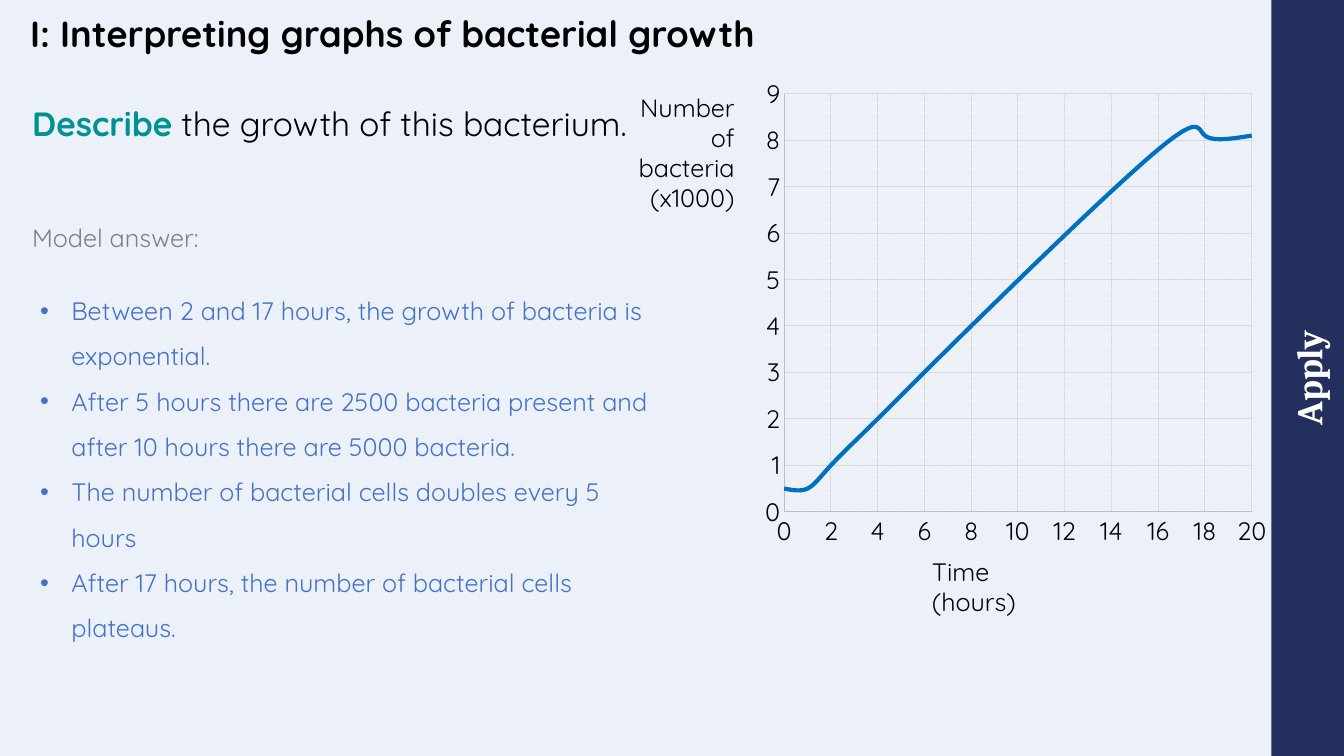
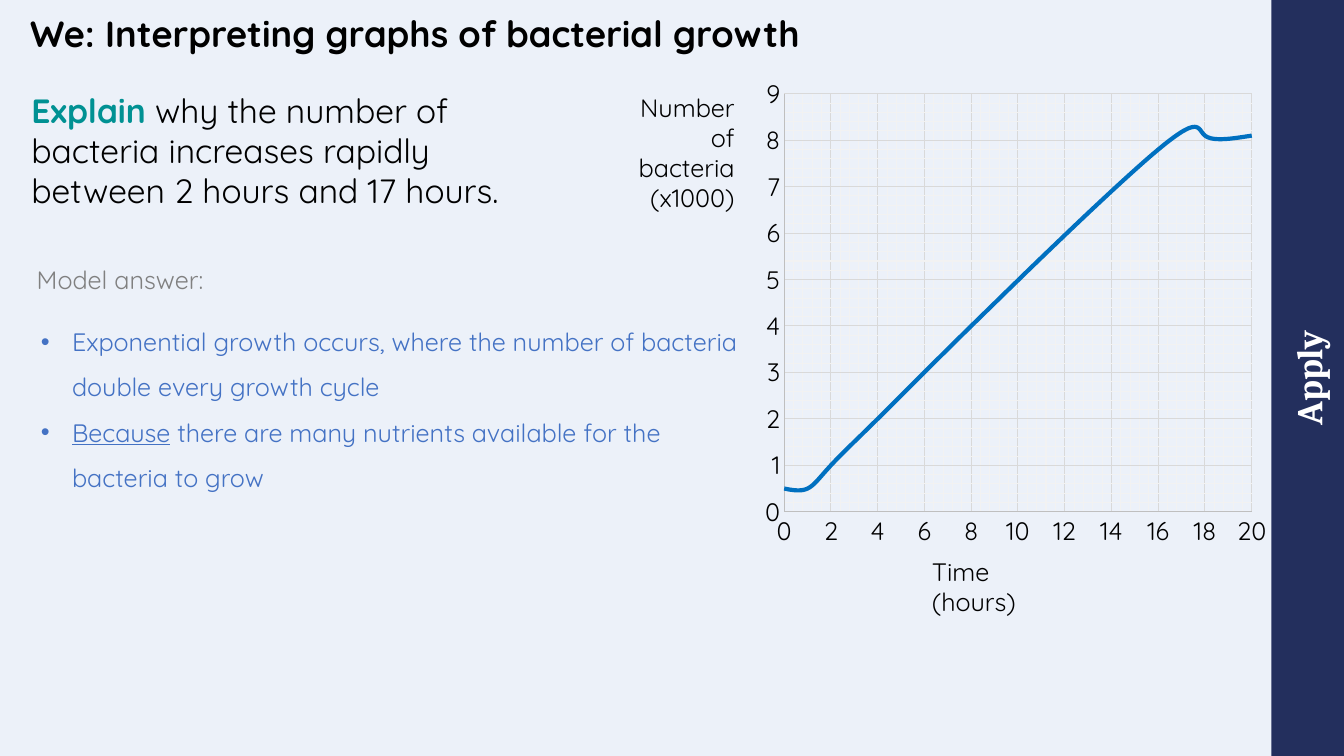
from dataclasses import dataclass

from lxml import etree
from pptx import Presentation, util as u
from pptx.chart import data as chart_data
from pptx.dml.color import RGBColor
from pptx.enum import chart as charts, shapes, text
from pptx.oxml.ns import qn


@dataclass(frozen=True)
class Theme:
    """Colours, fonts and type sizes shared by both slides."""
    paper: str = "ECF1F9"
    band: str = "232F5D"
    white: str = "FFFFFF"
    ink: str = "000000"
    command: str = "009193"
    muted: str = "808080"
    answer: str = "4472C4"
    curve: str = "0070C0"
    axis: str = "BFBFBF"
    major_grid: str = "D9D9D9"
    minor_grid: str = "F2F2F2"
    body_font: str = "Quicksand"
    band_font: str = "Cambria"
    title_size: int = 26
    question_size: int = 24
    body_size: int = 18


THEME = Theme()
WIDTH, HEIGHT = u.Inches(13.333), u.Inches(7.5)
BAND_SHARE = 5.4
HOURS = [0, 1, 2, 4, 8, 16, 18, 20]
THOUSANDS = [0.5, 0.5, 1, 2, 4, 7.8, 8.1, 8.1]


def across(share):
    """Turn a percentage of the slide width into a length."""
    return round(WIDTH * share / 100)


def down(share):
    """Turn a percentage of the slide height into a length."""
    return round(HEIGHT * share / 100)


def place(left, top, width, height):
    """Turn percentages of the slide into a position and size."""
    return across(left), down(top), across(width), down(height)


def style_font(font, size, color=THEME.ink, bold=False, name=THEME.body_font):
    """Set the face, size, weight and colour of a font."""
    font.name, font.size, font.bold = name, u.Pt(size), bold
    font.color.rgb = RGBColor.from_string(color)


def style_line(line, color, width=0.75):
    """Set the colour and width in points of a line."""
    line.color.rgb = RGBColor.from_string(color)
    line.width = u.Pt(width)


def add_frame(page, area):
    """Add a wrapping text box and return its text frame."""
    frame = page.shapes.add_textbox(*place(*area)).text_frame
    frame.word_wrap = True
    return frame


def add_label(page, area, wording, color=THEME.ink, size=THEME.body_size,
              bold=False, align=text.PP_ALIGN.LEFT, spacing=1.0):
    """Add a text box with one paragraph in one style."""
    para = add_frame(page, area).paragraphs[0]
    para.text, para.alignment, para.line_spacing = wording, align, spacing
    style_font(para.font, size, color, bold)


def add_question(page, area, command, rest):
    """Add a question that opens with a highlighted command word."""
    para = add_frame(page, area).paragraphs[0]
    for wording, color, bold in ((command, THEME.command, True), (rest, THEME.ink, False)):
        span = para.add_run()
        span.text = wording
        style_font(span.font, THEME.question_size, color, bold)


def add_bullets(page, area, points):
    """Add bulleted points, each an underlined lead and the rest."""
    frame = add_frame(page, area)
    for index, (lead, rest) in enumerate(points):
        para = frame.add_paragraph() if index else frame.paragraphs[0]
        para.line_spacing = 1.5
        props = para._p.get_or_add_pPr()
        props.set("marL", str(u.Inches(0.31)))
        props.set("indent", str(-u.Inches(0.31)))
        etree.SubElement(props, qn("a:buFont")).set("typeface", "Arial")
        etree.SubElement(props, qn("a:buChar")).set("char", "•")
        style_font(para.font, THEME.body_size, THEME.answer)
        if lead:
            span = para.add_run()
            span.text, span.font.underline = lead, True
        para.add_run().text = rest


def add_band(page, wording):
    """Add the side band with its sideways label."""
    thickness = across(BAND_SHARE)
    left = WIDTH - (thickness + HEIGHT) // 2
    top = (HEIGHT - thickness) // 2
    band = page.shapes.add_shape(shapes.MSO_SHAPE.RECTANGLE, left, top, HEIGHT, thickness)
    band.rotation = 270
    band.shadow.inherit = False
    band.fill.solid()
    band.fill.fore_color.rgb = RGBColor.from_string(THEME.band)
    band.line.fill.background()
    frame = band.text_frame
    frame.margin_left = frame.margin_right = frame.margin_top = frame.margin_bottom = 0
    frame.vertical_anchor = text.MSO_ANCHOR.MIDDLE
    para = frame.paragraphs[0]
    para.text, para.alignment = wording, text.PP_ALIGN.CENTER
    style_font(para.font, THEME.title_size, THEME.white, True, THEME.band_font)


def style_minor_grid(axis):
    """Draw the minor gridlines of an axis in the faint grid colour."""
    axis.has_minor_gridlines = True
    grid = axis._element.find(qn("c:minorGridlines"))
    props = etree.SubElement(grid, qn("c:spPr"))
    line = etree.SubElement(props, qn("a:ln"), w=str(u.Pt(0.75)))
    fill = etree.SubElement(line, qn("a:solidFill"))
    etree.SubElement(fill, qn("a:srgbClr"), val=THEME.minor_grid)


def style_axis(axis, maximum, step):
    """Set the scale, grid and labels of an axis."""
    axis.minimum_scale, axis.maximum_scale = 0, maximum
    axis.major_unit, axis.minor_unit = step, step / 5
    axis.has_major_gridlines = True
    style_line(axis.major_gridlines.format.line, THEME.major_grid)
    style_minor_grid(axis)
    style_line(axis.format.line, THEME.axis)
    axis.major_tick_mark = axis.minor_tick_mark = charts.XL_TICK_MARK.NONE
    style_font(axis.tick_labels.font, THEME.body_size)


def fix_plot_area(chart, **shares):
    """Pin the inner plot area to shares of the chart."""
    area = chart._chartSpace.chart.plotArea
    for old in area.findall(qn("c:layout")):
        area.remove(old)
    layout = etree.Element(qn("c:layout"))
    area.insert(0, layout)
    manual = etree.SubElement(layout, qn("c:manualLayout"))
    settings = {"layoutTarget": "inner", "xMode": "edge", "yMode": "edge", **shares}
    for tag, value in settings.items():
        etree.SubElement(manual, qn(f"c:{tag}")).set("val", str(value))


def add_growth_chart(page):
    """Add the growth curve with its two axis captions."""
    add_label(page, (68.6, 72.9, 9, 9.5), "Time (hours)")
    add_label(page, (45.2, 11.5, 10.2, 17.5), "Number of bacteria (x1000)",
              align=text.PP_ALIGN.RIGHT)
    data = chart_data.XyChartData()
    growth = data.add_series("Series 1")
    for hour, count in zip(HOURS, THOUSANDS):
        growth.add_data_point(hour, count)
    chart = page.shapes.add_chart(charts.XL_CHART_TYPE.XY_SCATTER_SMOOTH_NO_MARKERS,
                                  *place(56, 9.2, 39.1, 64.3), data).chart
    chart.has_legend = chart.has_title = False
    style_font(chart.font, THEME.body_size)
    style_axis(chart.category_axis, 20, 2)
    style_axis(chart.value_axis, 9, 1)
    plot = chart.plots[0]
    plot.vary_by_categories = False
    curve = plot.series[0]
    style_line(curve.format.line, THEME.curve, 3)
    curve._element.get_or_add_smooth().val = True
    fix_plot_area(chart, x=0.06, y=0.05, w=0.89, h=0.86)


def add_page(deck, title):
    """Add a slide with the shared background, band, title and chart."""
    page = deck.slides.add_slide(deck.slide_layouts[6])
    page.background.fill.solid()
    page.background.fill.fore_color.rgb = RGBColor.from_string(THEME.paper)
    add_band(page, "Apply")
    add_label(page, (1.5, 1.5, 87, 6.7), title, size=THEME.title_size, bold=True, spacing=0.9)
    add_growth_chart(page)
    return page


def add_model_answer(page, left, top):
    """Add the grey heading above the answer points."""
    add_label(page, (left, top, 19.2, 5.3), "Model answer:", THEME.muted)


def main():
    """Build both slides and save the deck."""
    deck = Presentation()
    deck.slide_width, deck.slide_height = WIDTH, HEIGHT

    describe = add_page(deck, "I: Interpreting graphs of bacterial growth")
    add_question(describe, (1.65, 12.9, 46.4, 12.1), "Describe",
                 " the growth of this bacterium.")
    add_model_answer(describe, 1.65, 28.8)
    add_bullets(describe, (2.25, 36.4, 47.3, 49.1), [
        ("", "Between 2 and 17 hours, the growth of bacteria is exponential."),
        ("", "After 5 hours there are 2500 bacteria present and after 10 hours "
             "there are 5000 bacteria."),
        ("", "The number of bacterial cells doubles every 5 hours"),
        ("", "After 17 hours, the number of bacterial cells plateaus."),
    ])

    explain = add_page(deck, "We: Interpreting graphs of bacterial growth")
    add_question(explain, (1.6, 11.2, 41.2, 17.5), "Explain",
                 " why the number of bacteria increases rapidly between 2 hours and 17 hours.")
    add_model_answer(explain, 2, 34.3)
    add_bullets(explain, (2.3, 40.5, 53.8, 24.8), [
        ("", "Exponential growth occurs, where the number of bacteria double every growth cycle"),
        ("Because", " there are many nutrients available for the bacteria to grow"),
    ])

    deck.save("out.pptx")


if __name__ == "__main__":
    main()
